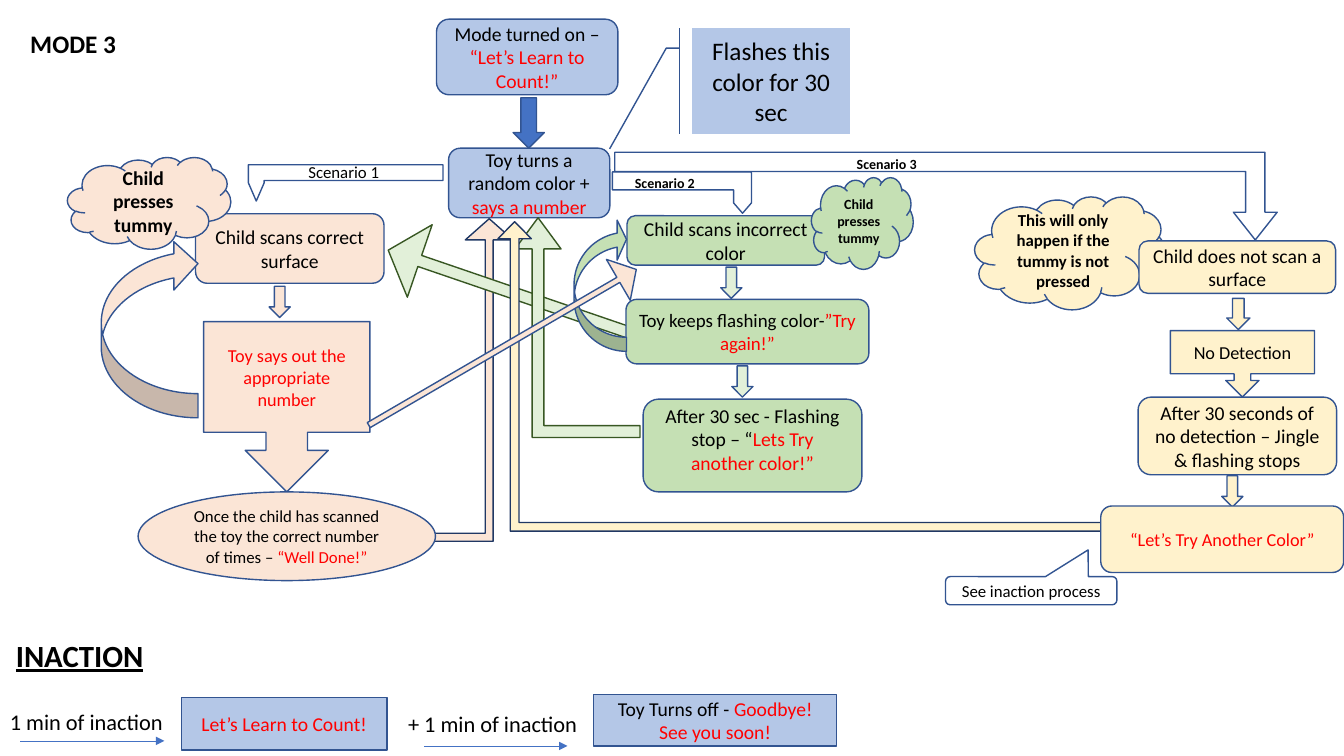
from pptx import Presentation
from pptx.dml.color import RGBColor
from pptx.enum.shapes import MSO_CONNECTOR, MSO_SHAPE as Preset
from pptx.enum.text import MSO_ANCHOR as Anchor, MSO_AUTO_SIZE as AutoSize, PP_ALIGN as Align
from pptx.oxml.ns import qn
from pptx.util import Inches, Pt
from lxml.etree import SubElement

COLOURS = {
    "black": "000000", "red": "FF0000", "white": "FFFFFF",
    "blue": "B4C7E7", "accent": "4472C4", "outline": "325491", "navy": "203864",
    "peach": "FBE5D6", "yellow": "FFF2CC",
    "green": "C5E0B4", "mint": "E2F0D9", "forest": "385723",
}
COLUMNS, ROWS = 133.33, 75


class FlowPage:
    """A slide measured in columns and rows, with one style for its flow chart."""
    font = "Calibri"
    line_width = Pt(1)

    def __init__(self, deck):
        self.page = deck.slides.add_slide(deck.slide_layouts[5])
        self.column = deck.slide_width / COLUMNS
        self.row = deck.slide_height / ROWS

    def place(self, left, top, width, height):
        return [round(length * unit) for length, unit in
                zip((left, top, width, height), (self.column, self.row) * 2)]

    def colour(self, name):
        return RGBColor.from_string(COLOURS[name])

    def set_text(self, box, text, size, shout="", bold=False, align=Align.CENTER):
        """Fill a box with black text, followed by the toy's speech in red."""
        frame = box.text_frame
        frame.word_wrap = True
        paragraph = frame.paragraphs[0]
        paragraph.alignment = align
        paragraph.text = text
        if shout:
            paragraph.add_run().text = shout
        for span in paragraph.runs:
            span.font.name = self.font
            span.font.size = Pt(size)
            span.font.bold = bold
            is_speech = shout and span.text == shout
            span.font.color.rgb = self.colour("red" if is_speech else "black")

    def title(self, text, at, size):
        box = self.page.shapes.title
        box.left, box.top, box.width, box.height = self.place(*at)
        self.set_text(box, text, size, bold=True, align=Align.LEFT)
        box.text_frame.vertical_anchor = Anchor.TOP
        box.text_frame.auto_size = AutoSize.NONE

    def label(self, text, at, size, bold=False, underline=False, align=Align.LEFT):
        box = self.page.shapes.add_textbox(*self.place(*at))
        self.set_text(box, text, size, bold=bold, align=align)
        box.text_frame.auto_size = AutoSize.SHAPE_TO_FIT_TEXT
        box.text_frame.paragraphs[0].runs[0].font.underline = underline

    def shape(self, preset, at, fill, line="outline", adjust=(), turn=0, flip=""):
        shape = self.page.shapes.add_shape(preset, *self.place(*at))
        shape.shadow.inherit = False
        shape.fill.solid()
        shape.fill.fore_color.rgb = self.colour(fill)
        shape.line.color.rgb = self.colour(line)
        shape.line.width = self.line_width
        for index, value in enumerate(adjust):
            shape.adjustments[index] = value
        shape.rotation = turn
        for axis in flip:
            shape.element.spPr.xfrm.set("flip" + axis, "1")
        return shape

    def block(self, preset, at, fill, text, size=14, shout="", bold=False, adjust=()):
        box = self.shape(preset, at, fill, adjust=adjust)
        self.set_text(box, text, size, shout, bold)
        box.text_frame.vertical_anchor = Anchor.MIDDLE
        return box

    def step(self, at, fill, text, size=14, shout=""):
        return self.block(Preset.ROUNDED_RECTANGLE, at, fill, text, size, shout)

    def down_arrow(self, left, top, fill, width=2.1, height=3.1):
        self.shape(Preset.DOWN_ARROW, (left, top, width, height), fill)

    def timeline(self, left, top, width):
        start_x, start_y, length, _ = self.place(left, top, width, 0)
        arrow = self.page.shapes.add_connector(
            MSO_CONNECTOR.STRAIGHT, start_x, start_y, start_x + length, start_y)
        arrow.line.color.rgb = self.colour("accent")
        arrow.line.width = Pt(0.5)
        properties = arrow.element.spPr
        SubElement(properties.find(qn("a:ln")), qn("a:tailEnd"), type="triangle")
        SubElement(properties, qn("a:effectLst"))


def draw_start(flow):
    flow.title("MODE 3", (2, 2.3, 11.6, 4), 18)
    flow.step((43.3, 1.9, 18, 7.5), "blue", "Mode turned on – ", shout="“Let’s Learn to Count!”")
    flow.step((44.5, 14.7, 16, 6.9), "blue", "Toy turns a random color + ", shout="says a number")
    scenarios = [
        ((32.5, 8.5, 3.6, 19.3), "H", (0.435, 0.217, 0.5, 0), (29.6, 15.6, 10, 3), 12),
        ((65.6, 12.2, 4.1, 13.8), "HV", (0.435, 0.217, 0.25, 0.028), (62, 16.8, 9.5, 2.7), 10),
        ((89.5, -13.4, 8.7, 65.7), "HV", (0.22, 0.25, 0.316, 0), (84, 14.9, 17.4, 2.7), 10),
    ]
    for number, (at, flip, adjust, label_at, size) in enumerate(scenarios, 1):
        flow.shape(Preset.BENT_ARROW, at, "white", adjust=adjust, turn=270, flip=flip)
        flow.label(f"Scenario {number}", label_at, size, bold=number > 1)
    flow.down_arrow(50.9, 9.7, "accent", 3.1, 5)
    flow.block(Preset.LINE_CALLOUT_2_ACCENT_BAR, (68.7, 2.8, 15.6, 10.5), "blue",
               "Flashes this color for 30 sec", 18,
               adjust=(0.188, -0.083, 0.188, -0.167, 1.14, -0.527))


def draw_correct_lane(flow):
    flow.step((19.4, 21.2, 18.7, 6.9), "peach", "Child scans correct surface")
    flow.block(Preset.CLOUD, (6.7, 15.6, 16.2, 9.1), "peach", "Child presses tummy", bold=True)
    flow.block(Preset.DOWN_ARROW_CALLOUT, (20.2, 31.9, 16.5, 16.9), "peach",
               "", 13, "Toy says out the appropriate number")
    flow.down_arrow(26.7, 28.4, "peach")
    flow.shape(Preset.CURVED_UP_ARROW, (6, 27.8, 17.7, 9.6), "peach", turn=90, flip="H")
    flow.shape(Preset.BENT_UP_ARROW, (42.5, 21.7, 8.4, 32), "peach", "navy", (0.094, 0.282, 0.25))
    flow.block(Preset.OVAL, (13.7, 48.8, 29.5, 8.8), "peach",
               "Once the child has scanned the toy the correct number of times – ", 12, "“Well Done!”")


def draw_incorrect_lane(flow):
    flow.down_arrow(71.5, 26.5, "mint")
    flow.step((62.2, 21.4, 19.6, 4.9), "green", "Child scans incorrect color")
    flow.block(Preset.CLOUD, (80.5, 17.6, 10.1, 9.1), "green", "Child presses tummy", 10, bold=True)
    stop = flow.step((63.8, 39.6, 21.7, 9.2), "green",
                     "After 30 sec - Flashing stop – “", shout="Lets Try another color!”")
    stop.text_frame.vertical_anchor = Anchor.TOP
    stop.text_frame.margin_top = 0
    flow.shape(Preset.DOWN_ARROW, (47.2, 15.9, 7.6, 26.4), "mint", "forest", (0.153, 0.435), 108.9)
    flow.step((62.1, 29.7, 24.1, 6.4), "green", "Toy keeps flashing color-", 13.5, "”Try again!”")
    flow.shape(Preset.CURVED_UP_ARROW, (53, 25.7, 13.1, 5.2), "green",
               adjust=(0.268, 0.764, 0.178), turn=90, flip="H")
    flow.shape(Preset.BENT_UP_ARROW, (51.1, 21.6, 12.4, 21.8), "mint", "forest",
               (0.094, 0.184, 0.25), flip="H")
    flow.down_arrow(72.6, 36.3, "mint")


def draw_no_scan_lane(flow):
    flow.block(Preset.DOWN_ARROW_CALLOUT, (116.1, 32.8, 14.3, 6.6), "yellow", "No Detection", 13)
    flow.block(Preset.CLOUD, (96.7, 19.5, 18.9, 11.2), "yellow",
               "This will only happen if the tummy is not pressed", 12, bold=True)
    flow.down_arrow(121.7, 29.6, "yellow", 2.3)
    flow.step((113, 23.9, 19.5, 5.2), "yellow", "Child does not scan a surface")
    flow.step((112.9, 39.4, 19.7, 7.7), "yellow",
              "After 30 seconds of no detection – Jingle & flashing stops")
    flow.down_arrow(121.2, 47.2, "yellow")
    flow.shape(Preset.BENT_UP_ARROW, (49.4, 22, 59.8, 30.7), "yellow", "navy",
               (0.028, 0.054, 0.055), flip="H")
    flow.step((109.2, 50.2, 24.1, 6.6), "yellow", "", 13, "“Let’s Try Another Color”")
    flow.block(Preset.ROUNDED_RECTANGULAR_CALLOUT, (93.8, 57.2, 17, 2.8), "white",
               "See inaction process", 12, adjust=(0.332, -1.446, 0.167))


def draw_inaction(flow):
    flow.label("INACTION", (-1.3, 62.7, 18.4, 4.7), 22, True, True, Align.CENTER)
    flow.block(Preset.RECTANGLE, (18, 69.2, 20.4, 5.2), "blue", "", shout="Let’s Learn to Count!")
    flow.label("1 min of inaction", (0, 69.8, 22.8, 3.7), 16)
    flow.timeline(2, 73.5, 14.3)
    flow.block(Preset.RECTANGLE, (58.9, 68.9, 24.1, 5.1), "blue",
               "Toy Turns off - ", shout="Goodbye! See you soon!")
    flow.label("+ 1 min of inaction", (39.5, 70, 21.5, 3.7), 16)
    flow.timeline(42.1, 74, 14.2)


def main():
    deck = Presentation()
    deck.slide_width, deck.slide_height = Inches(13.33), Inches(7.5)
    flow = FlowPage(deck)
    draw_start(flow)
    draw_correct_lane(flow)
    draw_incorrect_lane(flow)
    draw_no_scan_lane(flow)
    draw_inaction(flow)
    flow.shape(Preset.DOWN_ARROW, (47.5, 19.1, 4.7, 30.7), "peach",
               adjust=(0.123, 0.438), turn=239.8)
    deck.save("out.pptx")


if __name__ == "__main__":
    main()
